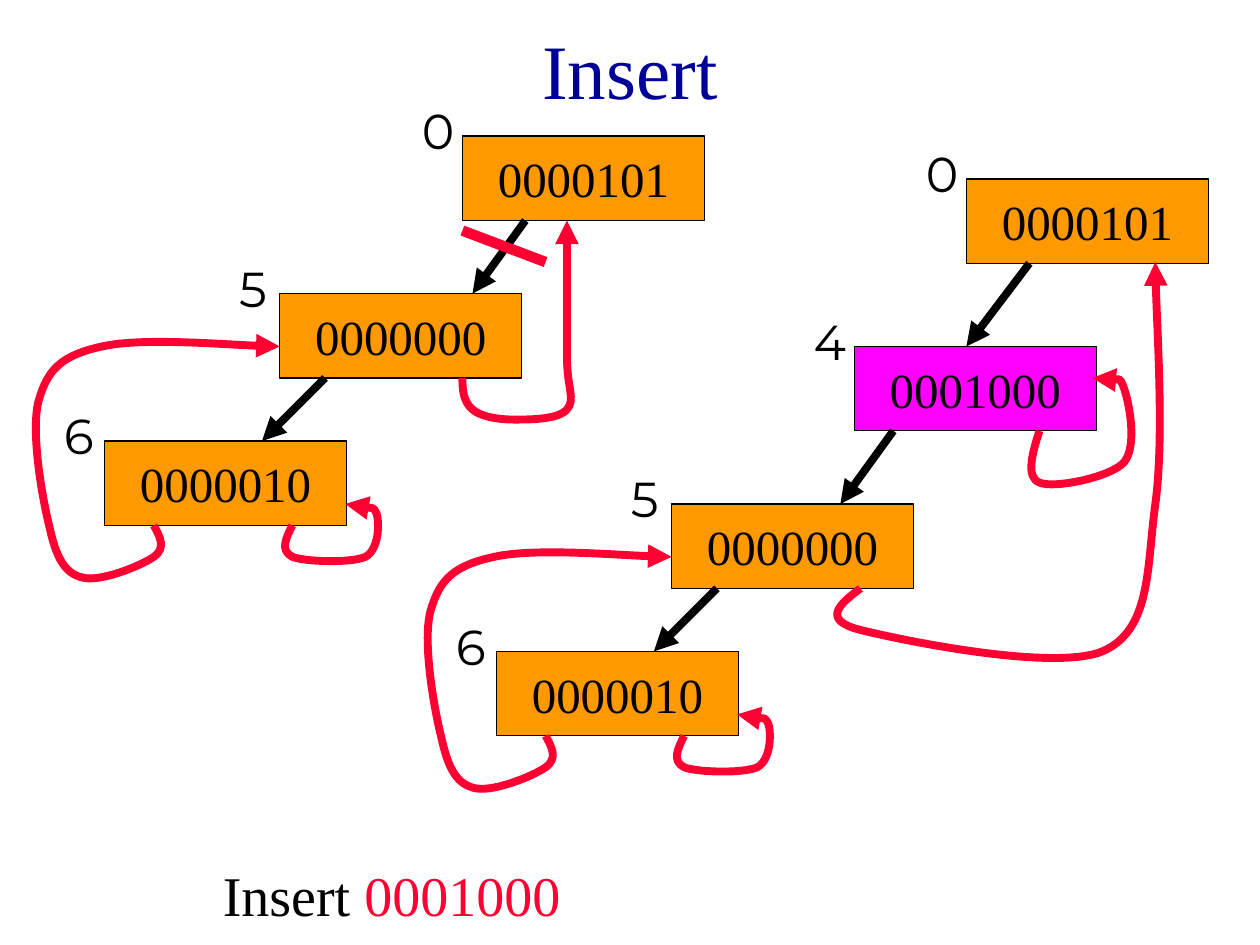
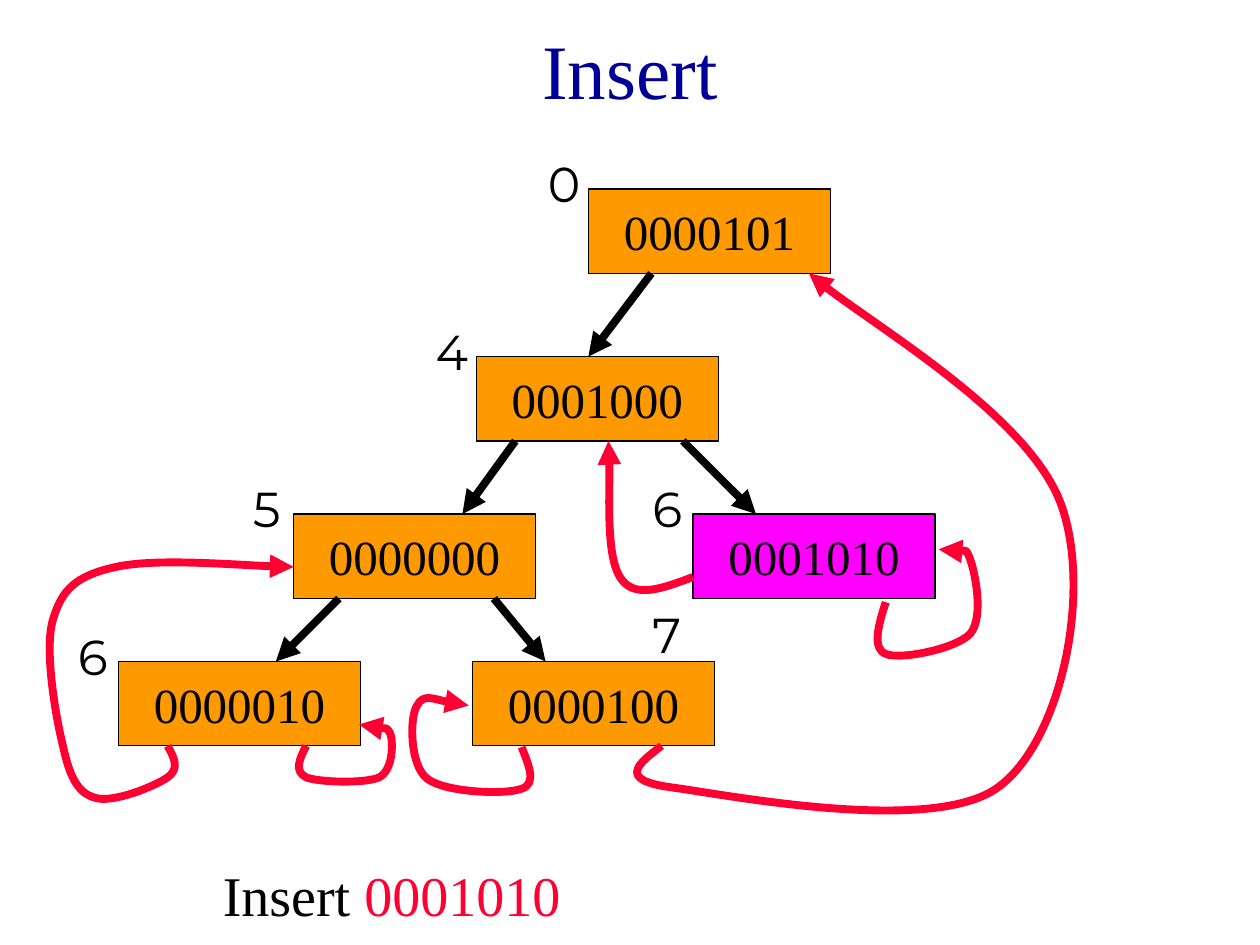
from lxml import etree
from pptx import Presentation
from pptx.dml.color import RGBColor
from pptx.enum.shapes import MSO_CONNECTOR, MSO_SHAPE
from pptx.enum.text import MSO_ANCHOR, PP_ALIGN
from pptx.oxml.ns import qn
from pptx.util import Inches, Pt

RECTANGLE = MSO_SHAPE.RECTANGLE
STRAIGHT = MSO_CONNECTOR.STRAIGHT
MIDDLE, TOP = MSO_ANCHOR.MIDDLE, MSO_ANCHOR.TOP
CENTER, LEFT = PP_ALIGN.CENTER, PP_ALIGN.LEFT

SERIF, SANS = "Times New Roman", "Montserrat"
BLACK, NAVY, RED = "000000", "000099", "FF0033"
ORANGE, MAGENTA = "FF9900", "FF00FF"
NODE_WIDTH, NODE_HEIGHT = 1.92, 0.67

# Curves: a start point, then two control points and an end point per segment.
# These three are measured from the point where the curve leaves its node.
SELF_LOOP = [
    (0, 0),
    (-0.05, 0.1), (-0.1, 0.2), (0, 0.25),
    (0.1, 0.29), (0.47, 0.3), (0.58, 0.25),
    (0.69, 0.19), (0.69, -0.02), (0.67, -0.09),
    (0.64, -0.16), (0.46, -0.16), (0.42, -0.17),
]
NEW_NODE_LOOP = [
    (0, 0),
    (-0.06, 0.18), (-0.11, 0.37), (0, 0.41),
    (0.11, 0.46), (0.56, 0.37), (0.67, 0.25),
    (0.78, 0.12), (0.71, -0.23), (0.67, -0.34),
    (0.63, -0.45), (0.46, -0.41), (0.42, -0.42),
]
THREAD_TO_PARENT = [
    (0, 0),
    (0.05, 0.09), (0.1, 0.18), (0, 0.25),
    (-0.1, 0.32), (-0.44, 0.46), (-0.58, 0.41),
    (-0.72, 0.37), (-0.78, 0.23), (-0.83, 0),
    (-0.89, -0.24), (-0.98, -0.77), (-0.91, -1),
    (-0.84, -1.24), (-0.73, -1.35), (-0.41, -1.42),
    (-0.1, -1.49), (0.77, -1.42), (1, -1.42),
]

# These are measured from the corner of the slide.
OLD_THREAD_TO_ROOT = [
    (3.67, 3),
    (3.67, 3.1), (3.68, 3.19), (3.75, 3.25),
    (3.82, 3.31), (3.96, 3.33), (4.08, 3.33),
    (4.21, 3.33), (4.43, 3.33), (4.5, 3.25),
    (4.57, 3.17), (4.5, 3.08), (4.5, 2.83),
    (4.5, 2.58), (4.5, 1.93), (4.5, 1.75),
]
NEW_THREAD_TO_ROOT = [
    (6.83, 4.67),
    (6.67, 4.79), (6.51, 4.92), (6.83, 5),
    (7.15, 5.08), (8.36, 5.33), (8.75, 5.17),
    (9.14, 5), (9.1, 4.51), (9.17, 4),
    (9.24, 3.49), (9.17, 2.4), (9.17, 2.08),
]
NODE_7_LOOP = [
    (4.14, 5.93),
    (4.2, 6.08), (4.26, 6.22), (4.14, 6.26),
    (4.01, 6.31), (3.53, 6.29), (3.39, 6.18),
    (3.25, 6.07), (3.25, 5.69), (3.31, 5.6),
    (3.36, 5.5), (3.65, 5.6), (3.72, 5.6),
]
NODE_7_THREAD_TO_ROOT = [
    (5.25, 5.92),
    (5.07, 6.06), (4.89, 6.19), (5.33, 6.25),
    (5.78, 6.31), (7.4, 6.63), (7.92, 6.25),
    (8.43, 5.88), (8.67, 4.68), (8.42, 4),
    (8.17, 3.32), (6.75, 2.47), (6.42, 2.17),
]
NODE_6_THREAD_TO_NODE_4 = [
    (5.5, 4.58),
    (5.26, 4.67), (5.03, 4.76), (4.92, 4.58),
    (4.81, 4.4), (4.85, 3.68), (4.83, 3.5),
]


def color(hex_code):
    return RGBColor.from_string(hex_code)


def add_arrowhead(shape):
    line = shape._element.spPr.find(qn("a:ln"))
    etree.SubElement(line, qn("a:tailEnd"), type="triangle")


class TrieDeck:
    """Holds the deck, its style and the page being drawn."""

    def __init__(self):
        self.deck = Presentation()
        self.deck.slide_width = Inches(10)
        self.deck.slide_height = Inches(7.5)
        self.page = None

    def start_page(self, key):
        self.page = self.deck.slides.add_slide(self.deck.slide_layouts[6])
        self.text(0.75, 0.17, 8.5, 0.75, [("Insert", NAVY)], 44,
                  align=CENTER, anchor=MIDDLE)
        self.text(1.67, 6.78, 3.33, 0.64, [("Insert ", BLACK), (key, RED)], 32)

    def text(self, left, top, width, height, spans, size,
             font=SERIF, align=LEFT, anchor=TOP):
        box = self.page.shapes.add_textbox(
            Inches(left), Inches(top), Inches(width), Inches(height))
        box.text_frame.word_wrap = True
        box.text_frame.vertical_anchor = anchor
        para = box.text_frame.paragraphs[0]
        para.alignment = align
        para.font.name, para.font.size = font, Pt(size)
        for words, hex_code in spans:
            span = para.add_run()
            span.text = words
            span.font.color.rgb = color(hex_code)

    def node(self, left, top, key, bit, fill=ORANGE, bit_shift=(-0.42, -0.33)):
        """Draw a key with its bit number, placed relative to the node's corner."""
        box = self.page.shapes.add_shape(
            RECTANGLE, Inches(left), Inches(top),
            Inches(NODE_WIDTH), Inches(NODE_HEIGHT))
        box.shadow.inherit = False
        box.fill.solid()
        box.fill.fore_color.rgb = color(fill)
        box.line.color.rgb = color(BLACK)
        box.line.width = Pt(0.75)
        box.text_frame.vertical_anchor = MIDDLE
        para = box.text_frame.paragraphs[0]
        para.text = key
        para.alignment = CENTER
        para.font.name, para.font.size = SERIF, Pt(28)
        para.font.color.rgb = color(BLACK)
        shift_x, shift_y = bit_shift
        self.text(left + shift_x, top + shift_y, 0.67, 0.57,
                  [(bit, BLACK)], 28, font=SANS)

    def line(self, start, end, hex_code=BLACK, width=4.5, arrow=True):
        link = self.page.shapes.add_connector(
            STRAIGHT, *(Inches(value) for value in (*start, *end)))
        link.line.color.rgb = color(hex_code)
        link.line.width = Pt(width)
        if arrow:
            add_arrowhead(link)
        etree.SubElement(link._element.spPr, qn("a:effectLst"))

    def curve(self, points, left=0, top=0):
        """Draw a red thread, turning each three points into a Bézier segment."""
        start, *rest = [(Inches(left + x), Inches(top + y)) for x, y in points]
        builder = self.page.shapes.build_freeform(*start)
        builder.add_line_segments(rest, close=False)
        thread = builder.convert_to_shape()
        outline = next(thread._element.iter(qn("a:path")))
        steps = outline.findall(qn("a:lnTo"))
        for first in range(0, len(steps), 3):
            segment = etree.SubElement(outline, qn("a:cubicBezTo"))
            for step in steps[first:first + 3]:
                segment.append(step[0])
                outline.remove(step)
        thread.shadow.inherit = False
        thread.fill.background()
        thread.line.color.rgb = color(RED)
        thread.line.width = Pt(4.5)
        add_arrowhead(thread)

    def lower_pair(self, left, top):
        """Draw node 5 at the given corner, its child 6 and the child's threads."""
        child_left, child_top = left - 1.39, top + 1.17
        child_bottom = child_top + NODE_HEIGHT
        self.node(left, top, "0000000", "5")
        self.node(child_left, child_top, "0000010", "6")
        self.line((left + 0.36, top + NODE_HEIGHT), (left - 0.14, child_top))
        self.curve(SELF_LOOP, child_left + 1.49, child_bottom)
        self.curve(THREAD_TO_PARENT, child_left + 0.39, child_bottom)

    def left_branch(self, left, top, second_fill=ORANGE):
        """Draw the chain 0, 4, 5, 6 with the root at the given corner."""
        second_left, second_top = left - 0.89, top + 1.33
        third_left, third_top = left - 2.34, top + 2.58
        self.node(left, top, "0000101", "0")
        self.node(second_left, second_top, "0001000", "4", second_fill)
        self.lower_pair(third_left, third_top)
        self.line((left + 0.5, top + NODE_HEIGHT), (left, second_top))
        self.line((second_left + 0.31, second_top + NODE_HEIGHT),
                  (third_left + 1.34, third_top))


def draw_first_insert(trie):
    trie.start_page("0001000")
    trie.node(3.67, 1.08, "0000101", "0")
    trie.lower_pair(2.22, 2.33)
    trie.line((4.17, 1.75), (3.75, 2.33))
    trie.curve(OLD_THREAD_TO_ROOT)
    trie.line((3.67, 1.83), (4.33, 2.08), RED, 6, arrow=False)

    trie.left_branch(7.67, 1.42, MAGENTA)
    trie.curve(NEW_THREAD_TO_ROOT)
    trie.curve(NEW_NODE_LOOP, 8.25, 3.42)


def draw_second_insert(trie):
    trie.start_page("0001010")
    trie.left_branch(4.67, 1.5)
    trie.node(3.75, 5.25, "0000100", "7", bit_shift=(1.33, -0.5))
    trie.line((3.92, 4.75), (4.33, 5.25))
    trie.curve(NODE_7_LOOP)
    trie.node(5.5, 4.08, "0001010", "6", MAGENTA)
    trie.line((5.42, 3.5), (6, 4.08))
    trie.curve(NEW_NODE_LOOP, 7.03, 4.78)
    trie.curve(NODE_7_THREAD_TO_ROOT)
    trie.curve(NODE_6_THREAD_TO_NODE_4)


def main():
    trie = TrieDeck()
    draw_first_insert(trie)
    draw_second_insert(trie)
    trie.deck.save("out.pptx")


if __name__ == "__main__":
    main()
